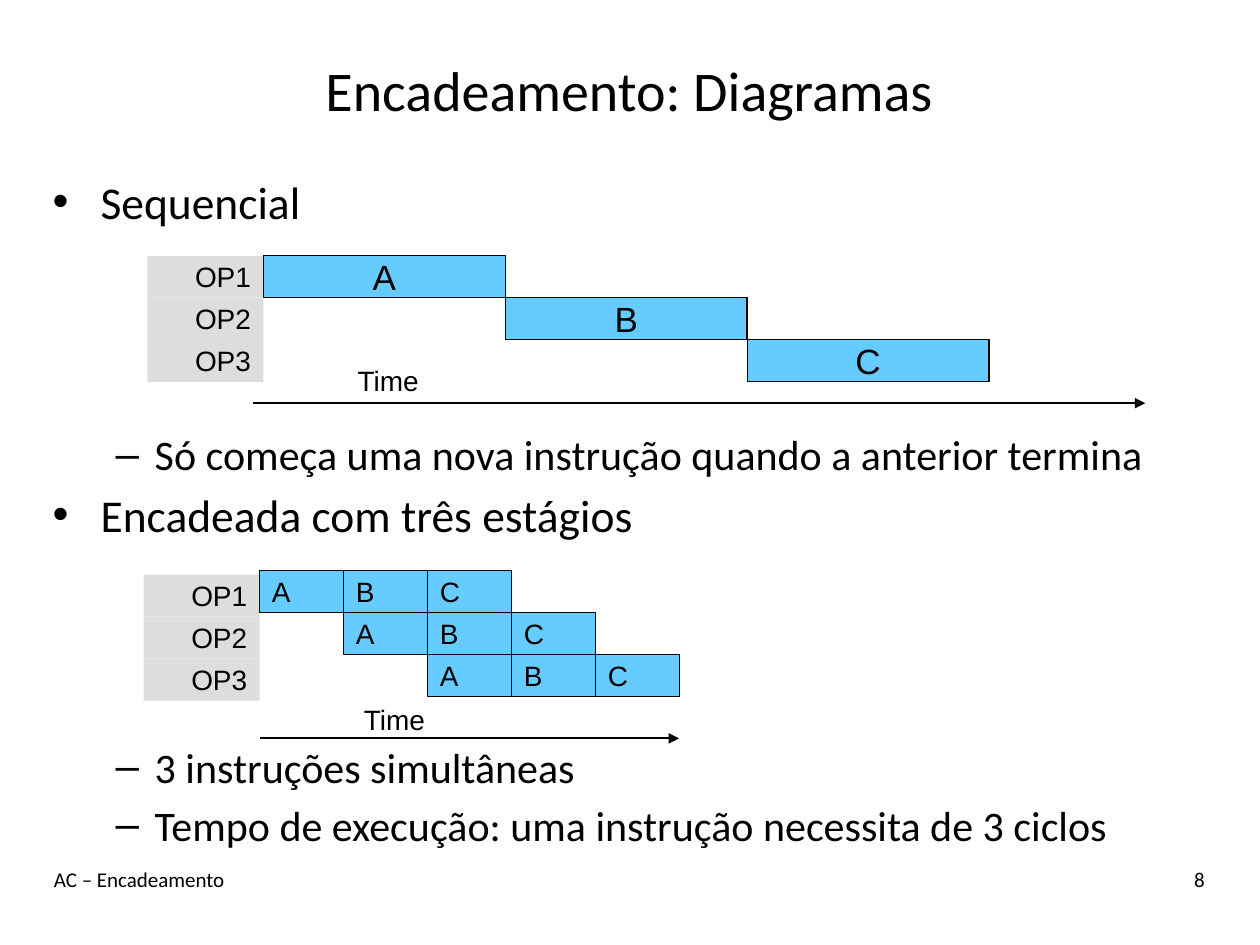
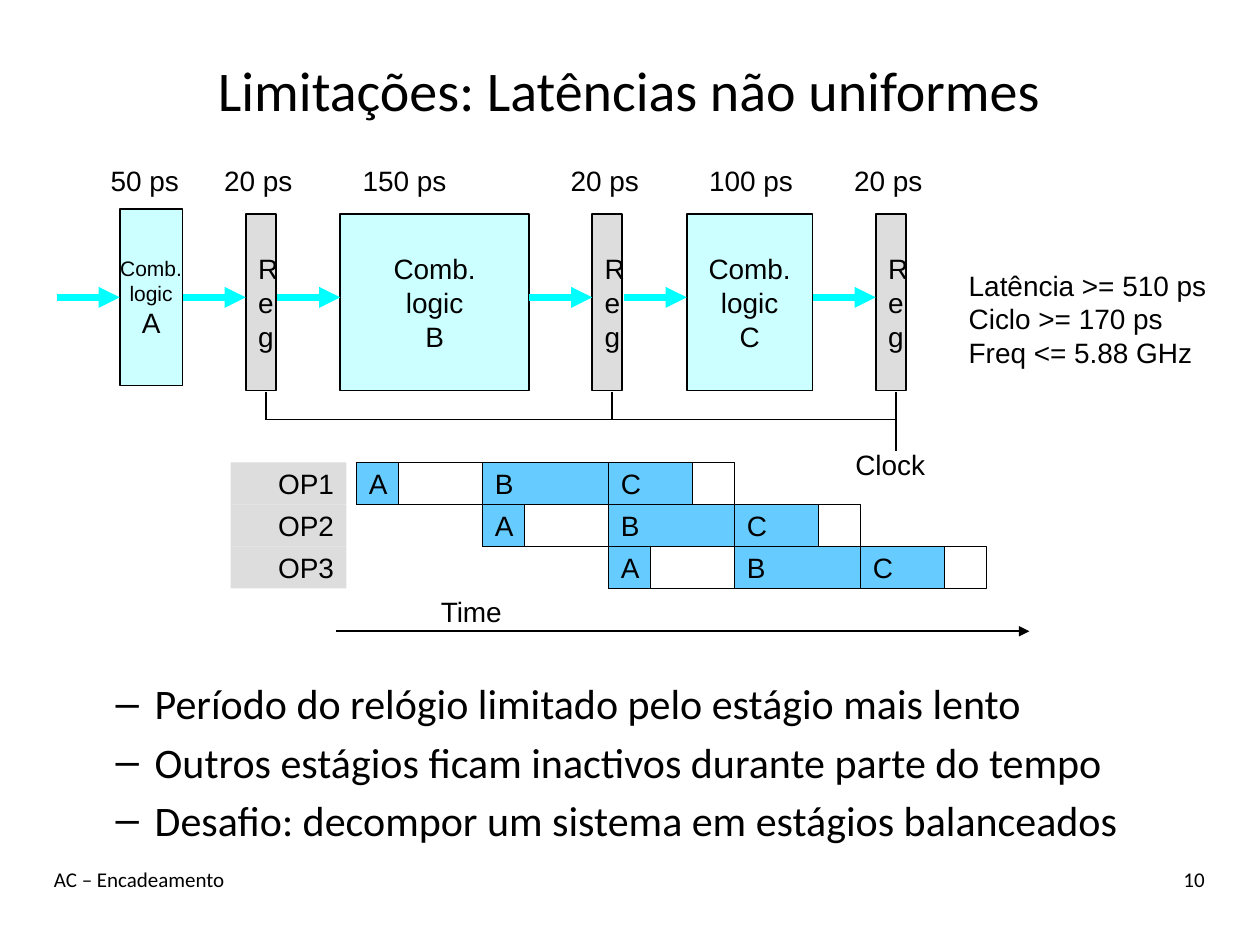
from dataclasses import dataclass
from typing import Optional

from lxml import etree
from pptx import Presentation
from pptx import util as u
from pptx.dml.color import RGBColor
from pptx.enum import shapes, text
from pptx.oxml import ns

BLACK = RGBColor(0x00, 0x00, 0x00)
STAGE_BLUE = RGBColor(0x66, 0xCC, 0xFF)
LOGIC_CYAN = RGBColor(0xCC, 0xFF, 0xFF)
FLOW_CYAN = RGBColor(0x00, 0xFF, 0xFF)
GREY = RGBColor(0xDD, 0xDD, 0xDD)

LEFT, CENTER, RIGHT = text.PP_ALIGN.LEFT, text.PP_ALIGN.CENTER, text.PP_ALIGN.RIGHT
TOP, MIDDLE = text.MSO_ANCHOR.TOP, text.MSO_ANCHOR.MIDDLE

ROW = 1 / 3
LABEL_WIDTH = 0.92
OPERATIONS = ("OP1", "OP2", "OP3")
STAGES = "ABC"

FLOW_Y = 2.36
BLOCK_GAP = 0.5
BLOCK_HEIGHT = 1.4
CLOCK_Y = 3.33


@dataclass(frozen=True)
class Line:
    words: str
    size: float
    align: Optional[text.PP_ALIGN] = LEFT
    font: str = "Arial"


@dataclass(frozen=True)
class Bullet:
    words: str
    level: int
    before: float = 4.5


@dataclass(frozen=True)
class BulletStyle:
    mark: str
    size: float
    margin: float
    hanging: float


@dataclass(frozen=True)
class Timing:
    label_left: float
    label_top: float
    left: float
    top: float
    slot: float
    axis: tuple[float, float, float]
    time_at: tuple[float, float]
    busy: tuple[float, float, float] = (1, 1, 1)
    pipelined: bool = True
    size: float = 16
    align: text.PP_ALIGN = LEFT


@dataclass(frozen=True)
class Block:
    lines: tuple[Line, ...]
    width: float
    delay: str
    delay_shift: float
    top: float = 1.7
    register: bool = False


BULLETS = (BulletStyle("•", 26, 0.38, 0.38), BulletStyle("–", 24, 0.81, 0.31))


def write(sp, lines: tuple[Line, ...], anchor=TOP, wrap: bool = False) -> None:
    tf = sp.text_frame
    tf.word_wrap = wrap
    tf.vertical_anchor = anchor
    for i, line in enumerate(lines):
        p = tf.paragraphs[0] if i == 0 else tf.add_paragraph()
        p.alignment = line.align
        r = p.add_run()
        r.text = line.words
        r.font.name = line.font
        r.font.size = u.Pt(line.size)
        r.font.color.rgb = BLACK


def add_text(s, at: tuple[float, float, float, float], *lines: Line,
             anchor=TOP, wrap: bool = False):
    sp = s.shapes.add_textbox(*map(u.Inches, at))
    write(sp, lines, anchor, wrap)
    return sp


def add_box(s, at: tuple[float, float, float, float], fill: Optional[RGBColor],
            border: float, *lines: Line):
    sp = s.shapes.add_shape(shapes.MSO_SHAPE.RECTANGLE, *map(u.Inches, at))
    sp.shadow.inherit = False
    if fill is None:
        sp.fill.background()
    else:
        sp.fill.solid()
        sp.fill.fore_color.rgb = fill
    if border:
        sp.line.color.rgb = BLACK
        sp.line.width = u.Pt(border)
    else:
        sp.line.fill.background()
    write(sp, lines, MIDDLE)
    return sp


def add_line(s, x1: float, y1: float, x2: float, y2: float,
             color: RGBColor = BLACK, width: float = 1, arrow: bool = False):
    sp = s.shapes.add_connector(shapes.MSO_CONNECTOR.STRAIGHT,
                                *map(u.Inches, (x1, y1, x2, y2)))
    sp.line.color.rgb = color
    sp.line.width = u.Pt(width)
    if arrow:
        etree.SubElement(sp.line._get_or_add_ln(), ns.qn("a:tailEnd"), type="triangle")
    etree.SubElement(sp._element.spPr, ns.qn("a:effectLst"))
    return sp


def add_bullets(s, at: tuple[float, float, float, float], *bullets: Bullet) -> None:
    lines = (Line(b.words, BULLETS[b.level].size, None, "Calibri") for b in bullets)
    sp = add_text(s, at, *lines, wrap=True)
    for p, b in zip(sp.text_frame.paragraphs, bullets):
        style = BULLETS[b.level]
        p.level = b.level
        p.space_before = u.Pt(b.before)
        pPr = p._p.get_or_add_pPr()
        pPr.set("marL", str(u.Inches(style.margin)))
        pPr.set("indent", str(-u.Inches(style.hanging)))
        etree.SubElement(pPr, ns.qn("a:buFont"), typeface="Arial")
        etree.SubElement(pPr, ns.qn("a:buChar"), char=style.mark)


def add_slide(prs, title: str, number: str):
    s = prs.slides.add_slide(prs.slide_layouts[6])
    add_text(s, (0.33, 0.25, 9.33, 0.92), Line(title, 32, CENTER, "Calibri"),
             anchor=MIDDLE, wrap=True)
    add_text(s, (0.33, 6.83, 7, 0.5), Line("AC – Encadeamento", 12, LEFT, "Calibri"),
             wrap=True)
    add_text(s, (8.33, 6.83, 1.33, 0.5), Line(number, 12, RIGHT, "Calibri"), wrap=True)
    return s


def add_timing(s, t: Timing) -> None:
    start, end, axis_y = t.axis
    add_line(s, start, axis_y, end, axis_y, arrow=True)
    add_text(s, (*t.time_at, 0.8, 0.36), Line("Time", 16))
    for row, operation in enumerate(OPERATIONS):
        add_box(s, (t.label_left, t.label_top + row * ROW, LABEL_WIDTH, ROW),
                GREY, 0, Line(operation, 16, RIGHT))
        y = t.top + row * ROW
        steps = range(len(STAGES)) if t.pipelined else (row,)
        for step in steps:
            x = t.left + t.slot * (row + step if t.pipelined else row)
            add_box(s, (x, y, t.slot * t.busy[step], ROW), STAGE_BLUE, 0.75,
                    Line(STAGES[step], t.size, t.align))
            if t.busy[step] < 1:
                add_box(s, (x, y, t.slot, ROW), None, 0.75)


def logic(name: str, width: float, delay: str, shift: float,
          size: float = 16, top: float = 1.7) -> Block:
    lines = (Line("Comb.", size, CENTER), Line("logic", size, CENTER),
             Line(name, 16, CENTER))
    return Block(lines, width, delay, shift, top)


REGISTER = Block(tuple(Line(c, 16) for c in "Reg"), 0.24, "20 ps", -0.27, register=True)
DATAPATH = (
    logic("A", 0.5, "50 ps", -0.17, size=12, top=FLOW_Y - BLOCK_HEIGHT / 2), REGISTER,
    logic("B", 1.5, "150 ps", 0.08), REGISTER,
    logic("C", 1, "100 ps", 0.08), REGISTER,
)


def add_datapath(s, left: float) -> None:
    x = left
    boxes, flows, taps = [], [], []
    for block in DATAPATH:
        boxes.append(add_box(s, (x, block.top, block.width, BLOCK_HEIGHT),
                             GREY if block.register else LOGIC_CYAN, 1, *block.lines))
        flows.append(add_line(s, x - BLOCK_GAP, FLOW_Y, x, FLOW_Y, FLOW_CYAN, 4,
                              arrow=True))
        add_text(s, (x + block.delay_shift, 1.25, 1, 0.36), Line(block.delay, 16))
        if block.register:
            taps.append(x + 0.16)
        x += BLOCK_GAP + (0.25 if block.register else block.width)
    flows[0].end_connect(boxes[0], 1)
    flows[1].begin_connect(boxes[0], 3)
    for tap in taps:
        add_line(s, tap, 3.11, tap, 3.58 if tap == taps[-1] else CLOCK_Y)
    add_line(s, taps[0], CLOCK_Y, taps[-1], CLOCK_Y)
    add_text(s, (6.69, 3.5, 0.9, 0.36), Line("Clock", 16))


def build_diagrams(prs) -> None:
    s = add_slide(prs, "Encadeamento: Diagramas", "8")
    add_bullets(
        s, (0.32, 1.33, 9.07, 5.7),
        Bullet("Sequencial", 0, 0),
        Bullet("Só começa uma nova instrução quando a anterior termina", 1, 114.5),
        Bullet("Encadeada com três estágios", 0),
        Bullet("3 instruções simultâneas", 1, 114),
        Bullet("Tempo de execução: uma instrução necessita de 3 ciclos", 1),
    )
    add_timing(s, Timing(1.17, 2.03, 2.09, 2.03, 1.92, (2.01, 9.09, 3.2), (2.74, 2.84),
                         pipelined=False, size=20, align=CENTER))
    add_timing(s, Timing(1.14, 4.56, 2.06, 4.53, 2 / 3, (2.06, 5.39, 5.86), (2.79, 5.53)))


def build_limits(prs) -> None:
    s = add_slide(prs, "Limitações: Latências não uniformes", "10")
    add_bullets(
        s, (0.32, 5.33, 9.07, 1.7),
        Bullet("Período do relógio limitado pelo estágio mais lento", 1, 0),
        Bullet("Outros estágios ficam inactivos durante parte do tempo", 1),
        Bullet("Desafio: decompor um sistema em estágios balanceados", 1),
    )
    add_datapath(s, 0.95)
    add_timing(s, Timing(1.83, 3.67, 2.83, 3.67, 1, (2.67, 8.17, 5.01), (3.4, 4.67),
                         busy=(1 / 3, 1, 2 / 3)))
    add_text(s, (7.59, 2.08, 2.2, 0.91), Line("Latência >= 510 ps", 16),
             Line("Ciclo >= 170 ps", 16), Line("Freq <= 5.88 GHz", 16))


def main() -> None:
    prs = Presentation()
    prs.slide_width, prs.slide_height = u.Inches(10), u.Inches(7.5)
    build_diagrams(prs)
    build_limits(prs)
    prs.save("out.pptx")


if __name__ == "__main__":
    main()
